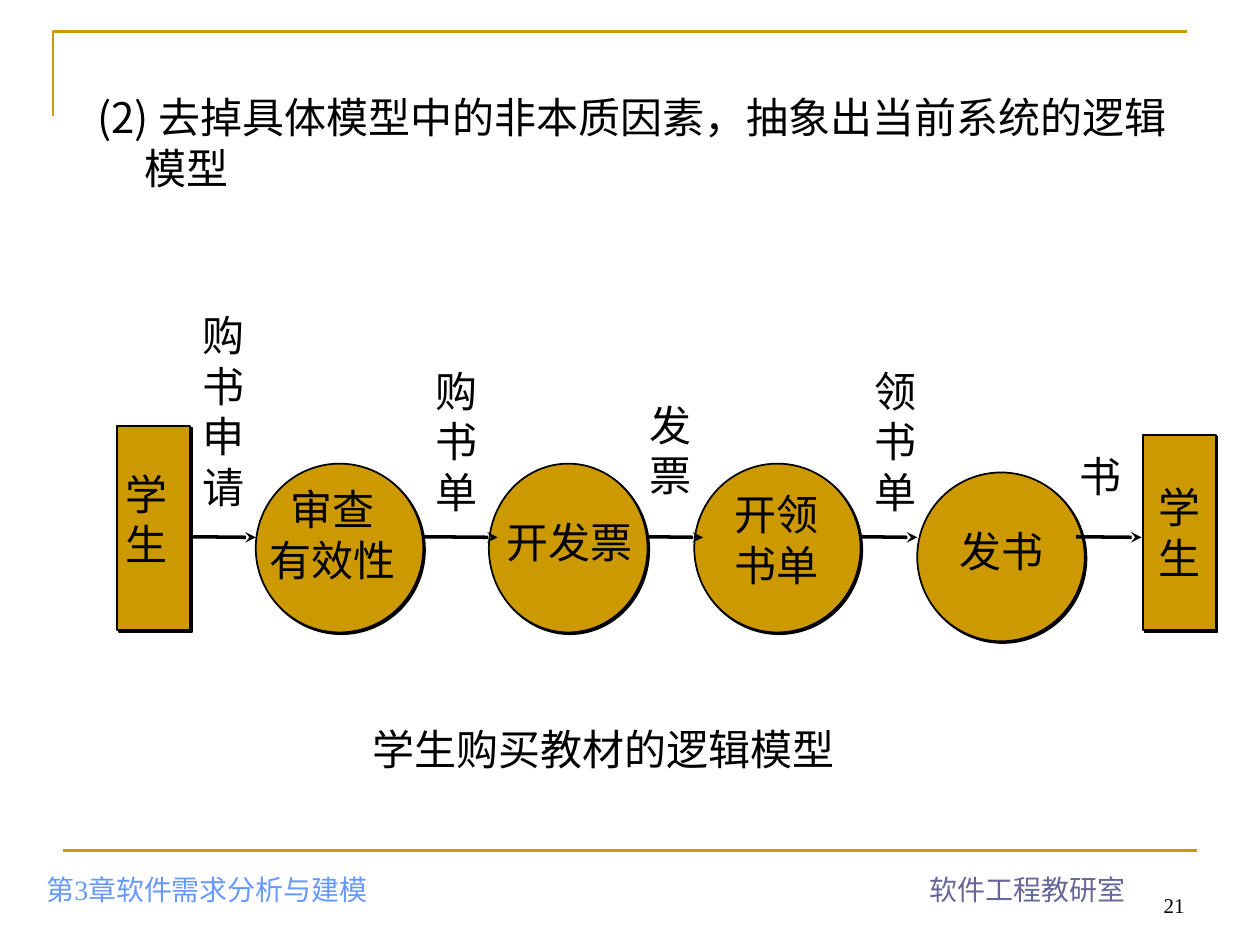
import pptx
import pptx.util
import pptx.dml.color
import pptx.enum.shapes
import pptx.enum.text
import pptx.oxml.ns
from lxml import etree
from dataclasses import dataclass

ALIGN = pptx.enum.text.PP_ALIGN
ANCHOR = pptx.enum.text.MSO_ANCHOR
SHAPE = pptx.enum.shapes.MSO_SHAPE
qn = pptx.oxml.ns.qn
Pt = pptx.util.Pt


@dataclass(frozen=True)
class Theme:
    gold: str = "CC9900"
    ink: str = "000000"
    blue: str = "6699FF"
    slate: str = "666699"
    sans: str = "Noto Sans CJK SC"
    serif: str = "Times New Roman"
    body: int = 24
    foot: int = 16
    small: int = 12
    leading: float = 1.2


THEME = Theme()
COLS, ROWS = 100, 75  # grid cells across and down the slide
WIDTH, HEIGHT = pptx.util.Inches(10), pptx.util.Inches(7.5)


def grid(*cells):
    """Turn alternating columns and rows into slide lengths."""
    units = (WIDTH / COLS, HEIGHT / ROWS)
    return [round(cell * units[i % 2]) for i, cell in enumerate(cells)]


def tint(code):
    return pptx.dml.color.RGBColor.from_string(code)


def apply(item, values):
    for name, value in values.items():
        setattr(item, name, value)


def write(shape, text, size=THEME.body, color=THEME.ink, font=THEME.sans,
          align=ALIGN.LEFT, anchor=ANCHOR.TOP, wrap=False):
    """Fill a shape with one paragraph per line of text."""
    frame = shape.text_frame
    frame.text = text
    apply(frame, {"auto_size": pptx.enum.text.MSO_AUTO_SIZE.NONE,
                  "word_wrap": wrap, "vertical_anchor": anchor})
    for para in frame.paragraphs:
        apply(para, {"alignment": align,
                     "line_spacing": Pt(size * THEME.leading)})
        for run in para.runs:
            apply(run.font, {"name": font, "size": Pt(size)})
            run.font.color.rgb = tint(color)
            east = etree.SubElement(run.font._element, qn("a:ea"))
            east.set("typeface", THEME.sans)


def label(slide, cells, text, **style):
    write(slide.shapes.add_textbox(*grid(*cells)), text, **style)


def node(slide, kind, cells):
    """Add a gold shape with a hard black shadow."""
    shape = slide.shapes.add_shape(kind, *grid(*cells))
    shape.fill.solid()
    shape.fill.fore_color.rgb = tint(THEME.gold)
    shape.line.color.rgb = tint(THEME.ink)
    shape.line.width = Pt(1)
    shape.shadow.inherit = False
    effects = shape._element.spPr.find(qn("a:effectLst"))
    shade = etree.SubElement(effects, qn("a:outerShdw"), dist=str(Pt(1.4)),
                             dir="2700000", algn="ctr", rotWithShape="0")
    etree.SubElement(shade, qn("a:srgbClr"), val=THEME.ink)
    return shape


def link(slide, cells, color, width, head=False):
    """Add a straight line, with an arrowhead at its end if asked."""
    kind = pptx.enum.shapes.MSO_CONNECTOR.STRAIGHT
    line = slide.shapes.add_connector(kind, *grid(*cells))
    line.line.color.rgb = tint(color)
    line.line.width = Pt(width)
    if head:
        etree.SubElement(line.line._get_or_add_ln(), qn("a:tailEnd"),
                         type="stealth")
    etree.SubElement(line._element.spPr, qn("a:effectLst"))


def frame(slide):
    """Draw the corner rule, the foot rule and the footer texts."""
    build = slide.shapes.build_freeform(*grid(4.2, 9.2))
    build.add_line_segments([grid(4.2, 2.5), grid(94.2, 2.5)], close=False)
    rule = build.convert_to_shape()
    rule.fill.background()
    rule.line.color.rgb = tint(THEME.gold)
    rule.line.width = Pt(1.5)
    rule.shadow.inherit = False
    link(slide, (5, 67.5, 95, 67.5), THEME.gold, 1.5)

    base = {"font": THEME.serif, "anchor": ANCHOR.BOTTOM, "wrap": True}
    label(slide, (71.7, 68.3, 23.3, 5), "21", size=THEME.small,
          align=ALIGN.RIGHT, **base)
    label(slide, (2.7, 67.4, 39.4, 5), "第3章软件需求分析与建模",
          size=THEME.foot, color=THEME.blue, **base)
    label(slide, (65.7, 67.4, 31.7, 5), "软件工程教研室",
          size=THEME.foot, color=THEME.slate, align=ALIGN.CENTER, **base)


def heading(slide, text):
    title = slide.shapes.title
    spot = grid(6.7, 6.8, 89.8, 9)
    apply(title, dict(zip(("left", "top", "width", "height"), spot)))
    write(title, text, wrap=True)
    props = title.text_frame.paragraphs[0]._p.get_or_add_pPr()
    hang = grid(3.8)[0]
    props.set("marL", str(hang))
    props.set("indent", str(-hang))


def flow(slide):
    """Draw the data flow from student to student."""
    # Source and sink
    node(slide, SHAPE.RECTANGLE, (9.3, 33.8, 5.8, 16.2))
    sink = node(slide, SHAPE.RECTANGLE, (90.7, 34.5, 5.8, 15.5))
    write(sink, "学\n生", align=ALIGN.CENTER, anchor=ANCHOR.MIDDLE)
    label(slide, (9, 36.7, 6.8, 9), "学\n生", wrap=True)

    # Process circles: left, top, width
    for left, top, width in ((20.3, 36.8, 13.3), (38.8, 36.8, 12.6),
                             (55.1, 36.8, 13.2), (72.8, 37.5, 13.3)):
        node(slide, SHAPE.OVAL, (left, top, width, 13.4))

    # Flow names, one character a line: left, top, text
    for left, top, text in ((15.1, 24.1, "购书申请"), (33.6, 28.5, "购书单"),
                            (50.6, 31.2, "发票"), (68.4, 28.5, "领书单"),
                            (84.7, 35.3, "书")):
        label(slide, (left, top, 5.4, 4 * len(text) + 1), "\n".join(text))

    # Arrows: start and end columns
    for start, end in ((15.1, 20.3), (33.6, 39.5), (51.4, 55.8),
                       (68.4, 72.8), (85.4, 90.6)):
        link(slide, (start, 42.6, end, 42.65), THEME.ink, 2, head=True)

    # Process names: left, top, width, text
    for left, top, width, text in ((20.4, 37.9, 12, "审查\n有效性"),
                                   (39.2, 40.5, 12, "开发票"),
                                   (57.3, 38.3, 8.7, "开领\n书单"),
                                   (75.1, 41.2, 8.7, "发书")):
        tall = 4 * len(text.split("\n")) + 1
        label(slide, (left, top, width, tall), text, align=ALIGN.CENTER)


def main():
    deck = pptx.Presentation()
    apply(deck, {"slide_width": WIDTH, "slide_height": HEIGHT})
    slide = deck.slides.add_slide(deck.slide_layouts[5])
    frame(slide)
    heading(slide, "(2) 去掉具体模型中的非本质因素，抽象出当前系统的逻辑模型")
    flow(slide)
    label(slide, (28.6, 56.9, 38.7, 5), "学生购买教材的逻辑模型")
    deck.save("out.pptx")


if __name__ == "__main__":
    main()
